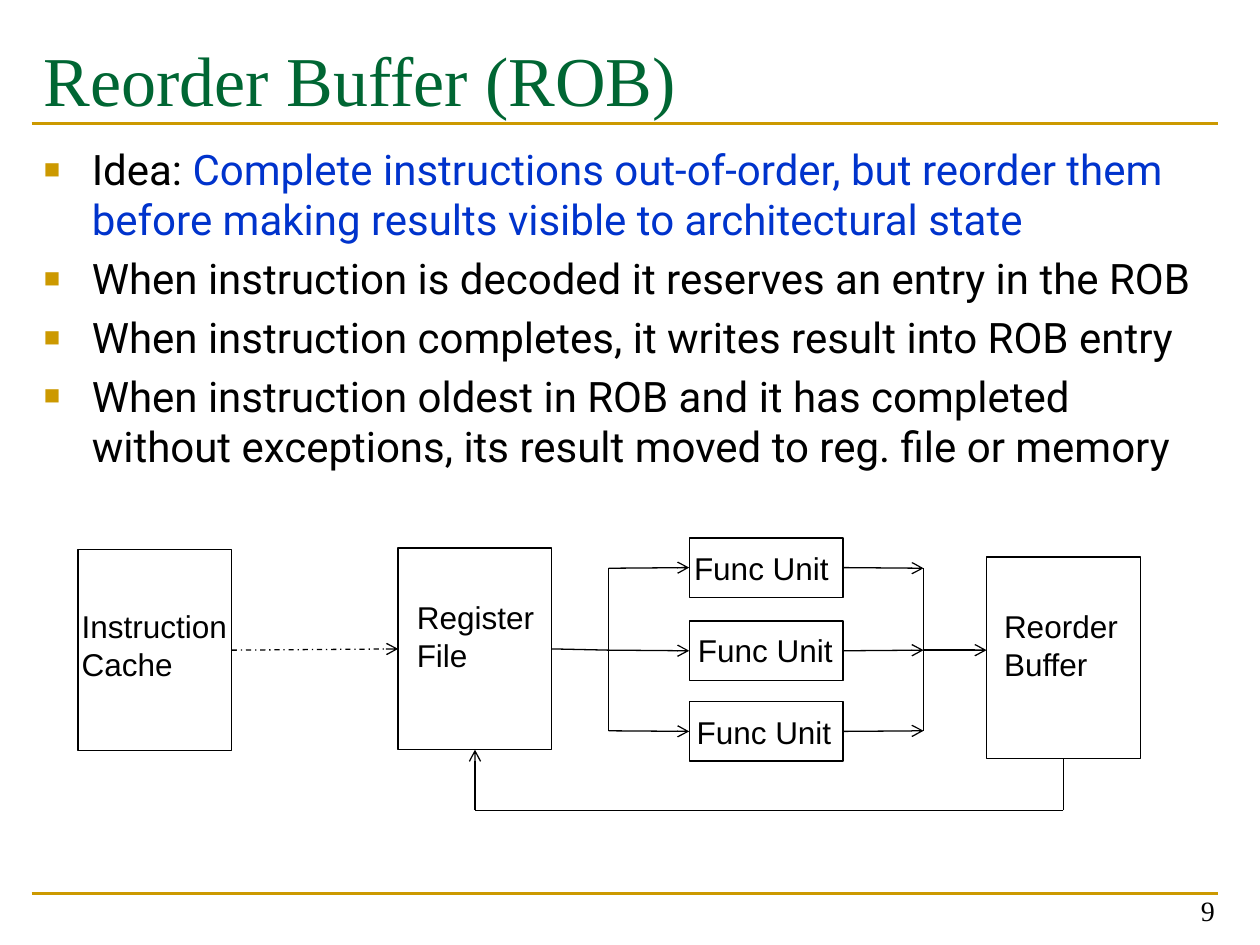
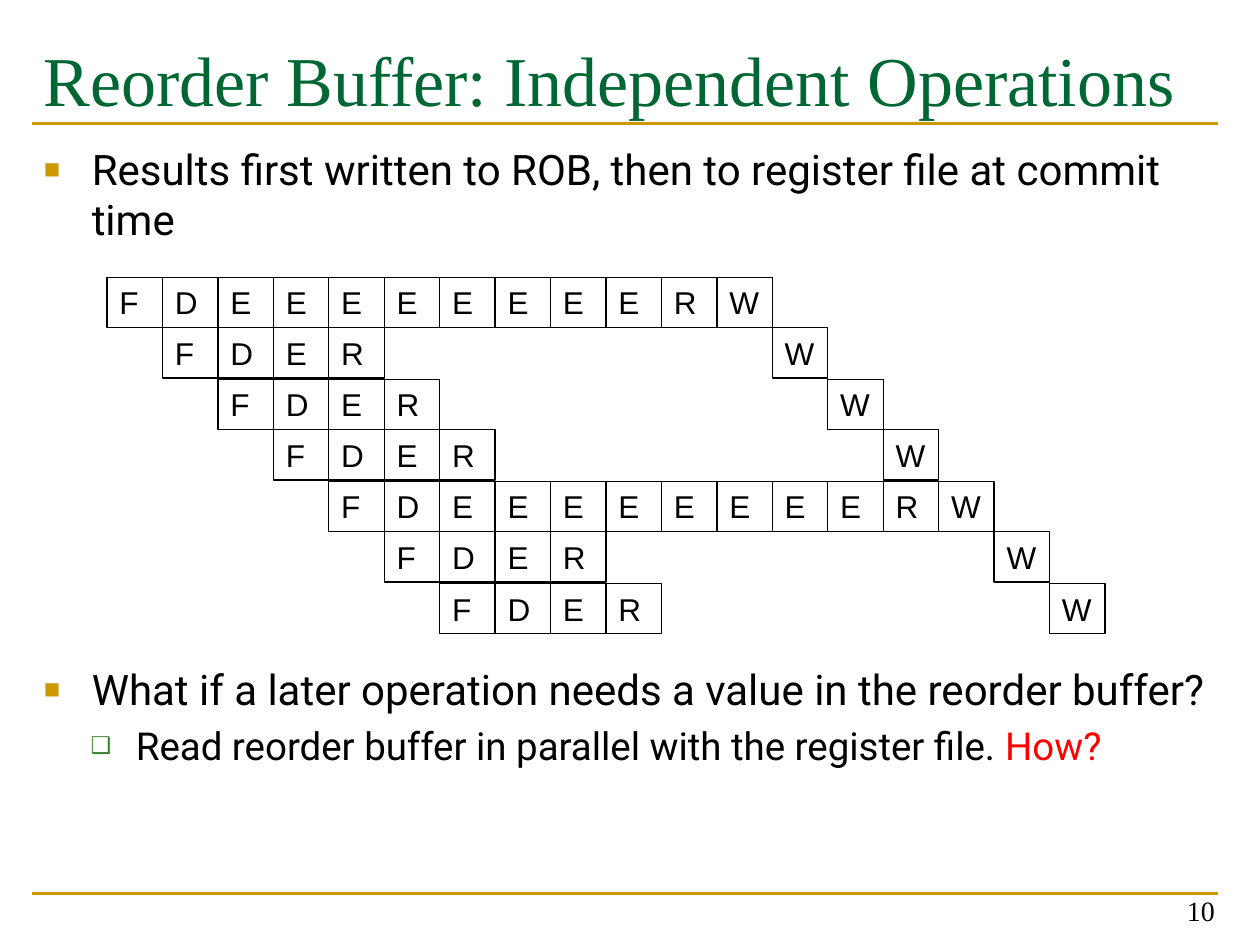
from dataclasses import dataclass
from typing import NamedTuple, Optional

import pptx
import pptx.dml.color
import pptx.enum.dml
import pptx.enum.shapes
import pptx.enum.text
import pptx.oxml
import pptx.oxml.ns
import pptx.util

EMU_PER_PX = 9144  # 100 px to the inch

COLORS = {
    "title": "006633",
    "gold": "CC9900",
    "green": "3B812F",
    "blue": "0033CC",
    "red": "FF0000",
    "black": "000000",
    "white": "FFFFFF",
}
TITLE_FONT, BODY_FONT, DIAGRAM_FONT = "Times New Roman", "Roboto", "Arial"

ALIGN = pptx.enum.text.PP_ALIGN
ANCHOR = pptx.enum.text.MSO_ANCHOR
TOP, LEFT, BOTTOM, RIGHT = range(4)


class Box(NamedTuple):
    left: int
    top: int
    width: int
    height: int


class Run(NamedTuple):
    text: str
    color: str = "black"


@dataclass
class BulletStyle:
    symbol: str
    color: str
    percent: int
    size: int
    margin: int
    indent: int


BULLETS = (
    BulletStyle("■", "gold", 65, 24, 38, -38),
    BulletStyle("❑", "green", 60, 22, 73, -36),
)


@dataclass
class Bullet:
    runs: list[Run]
    level: int = 0


@dataclass
class Unit:
    name: str
    box: Box
    label: list[str]
    label_box: Box


@dataclass
class Wire:
    start: tuple[int, int]
    end: tuple[int, int]
    arrow: bool = False
    dashed: bool = False
    source: Optional[tuple[str, int]] = None
    target: Optional[tuple[str, int]] = None


class StageRow(NamedTuple):
    stages: str
    write_column: int


# Shared drawing functions
def px(length: int) -> int:
    return pptx.util.Emu(length * EMU_PER_PX)


def rgb(name: str):
    return pptx.dml.color.RGBColor.from_string(COLORS[name])


def add_run(paragraph, run: Run, font: str, size: int) -> None:
    text_run = paragraph.add_run()
    text_run.text = run.text
    text_run.font.name = font
    text_run.font.size = pptx.util.Pt(size)
    text_run.font.color.rgb = rgb(run.color)


def add_text(slide, box: Box, lines: list[Run], font: str, size: int,
             align=ALIGN.LEFT, anchor=ANCHOR.TOP, wrap: bool = True) -> None:
    shape = slide.shapes.add_textbox(*map(px, box))
    frame = shape.text_frame
    frame.word_wrap = wrap
    frame.vertical_anchor = anchor
    for index, line in enumerate(lines):
        paragraph = frame.add_paragraph() if index else frame.paragraphs[0]
        paragraph.alignment = align
        add_run(paragraph, line, font, size)


def add_bullets(slide, box: Box, bullets: list[Bullet]) -> None:
    frame = slide.shapes.add_textbox(*map(px, box)).text_frame
    frame.word_wrap = True
    for index, bullet in enumerate(bullets):
        style = BULLETS[bullet.level]
        paragraph = frame.add_paragraph() if index else frame.paragraphs[0]
        paragraph.level = bullet.level
        paragraph.space_before = pptx.util.Pt(style.size * 0.2)
        properties = paragraph._p.get_or_add_pPr()
        properties.set("marL", str(px(style.margin)))
        properties.set("indent", str(px(style.indent)))
        namespace = pptx.oxml.ns.nsdecls("a")
        for xml in (
            f'<a:buClr {namespace}><a:srgbClr val="{COLORS[style.color]}"/></a:buClr>',
            f'<a:buSzPct {namespace} val="{style.percent * 1000}"/>',
            f'<a:buFont {namespace} typeface="{DIAGRAM_FONT}"/>',
            f'<a:buChar {namespace} char="{style.symbol}"/>',
        ):
            properties.append(pptx.oxml.parse_xml(xml))
        for run in bullet.runs:
            add_run(paragraph, run, BODY_FONT, style.size)


def add_rectangle(slide, box: Box, filled: bool = False):
    shape = slide.shapes.add_shape(
        pptx.enum.shapes.MSO_SHAPE.RECTANGLE, *map(px, box))
    shape.shadow.inherit = False
    if filled:
        shape.fill.solid()
        shape.fill.fore_color.rgb = rgb("white")
    else:
        shape.fill.background()
    shape.line.color.rgb = rgb("black")
    shape.line.width = pptx.util.Pt(0.75)
    return shape


def add_line(slide, start: tuple[int, int], end: tuple[int, int],
             color: str = "black", width: float = 0.75):
    line = slide.shapes.add_connector(
        pptx.enum.shapes.MSO_CONNECTOR.STRAIGHT, *map(px, start + end))
    line.line.color.rgb = rgb(color)
    line.line.width = pptx.util.Pt(width)
    line._element.spPr.append(pptx.oxml.parse_xml(
        f'<a:effectLst {pptx.oxml.ns.nsdecls("a")}/>'))
    return line


def add_wire(slide, wire: Wire, shapes: dict) -> None:
    connector = add_line(slide, wire.start, wire.end)
    if wire.source:
        name, side = wire.source
        connector.begin_connect(shapes[name], side)
    if wire.target:
        name, side = wire.target
        connector.end_connect(shapes[name], side)
    if wire.dashed:
        connector.line.dash_style = pptx.enum.dml.MSO_LINE.DASH_DOT
    if wire.arrow:
        connector.line._get_or_add_ln().append(pptx.oxml.parse_xml(
            f'<a:tailEnd {pptx.oxml.ns.nsdecls("a")} type="arrow"/>'))


def add_slide(presentation, title: str, number: int):
    slide = presentation.slides.add_slide(presentation.slide_layouts[6])
    for y in (709, 98):
        add_line(slide, (25, y), (967, y), "gold", 1.5)
    add_text(slide, Box(25, 24, 942, 74), [Run(title, "title")], TITLE_FONT, 40)
    add_text(slide, Box(741, 691, 233, 50), [Run(str(number))], TITLE_FONT, 16,
             ALIGN.RIGHT, ANCHOR.BOTTOM)
    return slide


# Slide 1: block diagram of the reorder buffer
ROB_BULLETS = [
    Bullet([Run("Idea: "),
            Run("Complete instructions out-of-order, but reorder them before "
                "making results visible to architectural state", "blue")]),
    Bullet([Run("When instruction is decoded it reserves an entry in the ROB")]),
    Bullet([Run("When instruction completes, it writes result into ROB entry")]),
    Bullet([Run("When instruction oldest in ROB and it has completed without "
                "exceptions, its result moved to reg. file or memory")]),
]
FUNC_TOPS = (427, 493, 557)
FUNC_LABELS = ((541, 431), (544, 496), (543, 561))
FUNC_MIDDLES = (451, 516, 580)
FORK_X, JOIN_X, FEEDBACK_Y = 483, 733, 643

UNITS = [
    Unit("cache", Box(62, 436, 122, 160), ["Instruction", "Cache"],
         Box(55, 477, 137, 71)),
    Unit("registers", Box(316, 435, 122, 160), ["Register", "File"],
         Box(321, 470, 114, 71)),
    Unit("buffer", Box(783, 442, 122, 160), ["Reorder", "Buffer"],
         Box(787, 477, 111, 71)),
] + [
    Unit(f"func{index}", Box(547, top, 122, 47), ["Func Unit"],
         Box(*corner, 128, 40))
    for index, (top, corner) in enumerate(zip(FUNC_TOPS, FUNC_LABELS))
]
WIRES = [
    Wire((184, 516), (316, 516), arrow=True, dashed=True,
         source=("cache", RIGHT), target=("registers", LEFT)),
    Wire((438, 515), (FORK_X, 516), source=("registers", RIGHT)),
    Wire((FORK_X, FUNC_MIDDLES[0]), (FORK_X, FUNC_MIDDLES[-1])),
    Wire((JOIN_X, FUNC_MIDDLES[0]), (JOIN_X, FUNC_MIDDLES[-1])),
    Wire((JOIN_X, 516), (783, 516), arrow=True),
    # Feedback from the buffer to the register file
    Wire((844, 602), (844, FEEDBACK_Y), source=("buffer", BOTTOM)),
    Wire((844, FEEDBACK_Y), (377, FEEDBACK_Y)),
    Wire((377, FEEDBACK_Y), (377, 595), arrow=True,
         target=("registers", BOTTOM)),
]
for func_index, middle in enumerate(FUNC_MIDDLES):
    func_name = f"func{func_index}"
    WIRES += [
        Wire((FORK_X, middle), (547, middle), arrow=True,
             target=(func_name, LEFT)),
        Wire((669, middle), (JOIN_X, middle), arrow=True,
             source=(func_name, RIGHT)),
    ]


def build_rob_slide(presentation) -> None:
    slide = add_slide(presentation, "Reorder Buffer (ROB)", 9)
    add_bullets(slide, Box(25, 109, 942, 290), ROB_BULLETS)
    shapes = {}
    for unit in UNITS:
        shapes[unit.name] = add_rectangle(slide, unit.box)
        add_text(slide, unit.label_box, [Run(line) for line in unit.label],
                 DIAGRAM_FONT, 18, wrap=False)
    for wire in WIRES:
        add_wire(slide, wire, shapes)


# Slide 2: pipeline timing of independent operations
STAGE_ROWS = [
    StageRow("FDEEEEEEEER", 11),
    StageRow("FDER", 12),
    StageRow("FDER", 13),
    StageRow("FDER", 14),
    StageRow("FDEEEEEEEER", 15),
    StageRow("FDER", 16),
    StageRow("FDER", 17),
]


def add_stage(slide, letter: str, row: int, column: int) -> None:
    shape = add_rectangle(
        slide, Box(85 + 44 * column, 220 + 81 * row // 2, 44, 40), filled=True)
    frame = shape.text_frame
    frame.vertical_anchor = ANCHOR.TOP
    paragraph = frame.paragraphs[0]
    paragraph.alignment = ALIGN.LEFT
    add_run(paragraph, Run(letter), DIAGRAM_FONT, 18)


def build_operations_slide(presentation) -> None:
    slide = add_slide(presentation, "Reorder Buffer: Independent Operations", 10)
    add_bullets(slide, Box(25, 109, 942, 100), [
        Bullet([Run("Results first written to ROB, then to register file at "
                    "commit time")])])
    add_bullets(slide, Box(25, 522, 942, 155), [
        Bullet([Run("What if a later operation needs a value in the reorder "
                    "buffer?")]),
        Bullet([Run("Read reorder buffer in parallel with the register file. "),
                Run("How?", "red")], level=1)])
    for row, (stages, write_column) in enumerate(STAGE_ROWS):
        for column, letter in enumerate(stages, start=row):
            add_stage(slide, letter, row, column)
        add_stage(slide, "W", row, write_column)


def main() -> None:
    presentation = pptx.Presentation()
    presentation.slide_width, presentation.slide_height = px(1000), px(750)
    build_rob_slide(presentation)
    build_operations_slide(presentation)
    presentation.save("out.pptx")


if __name__ == "__main__":
    main()
